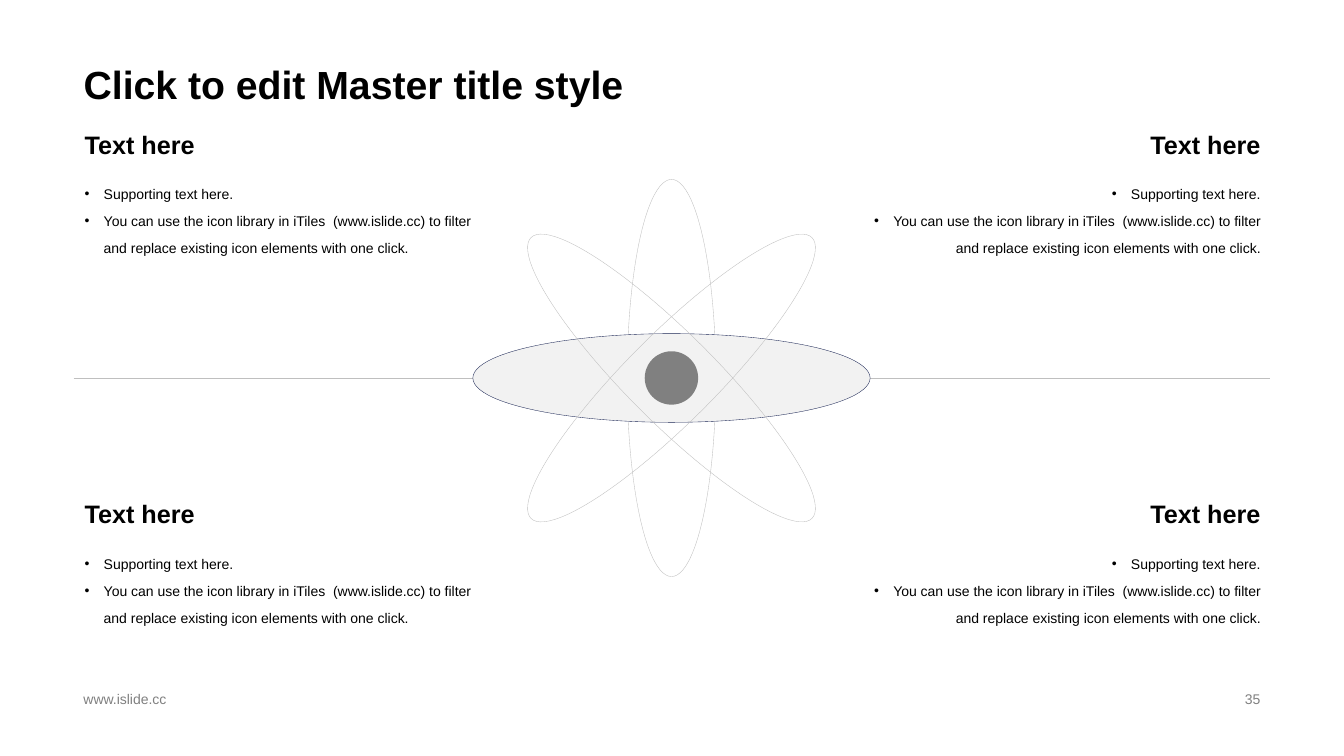
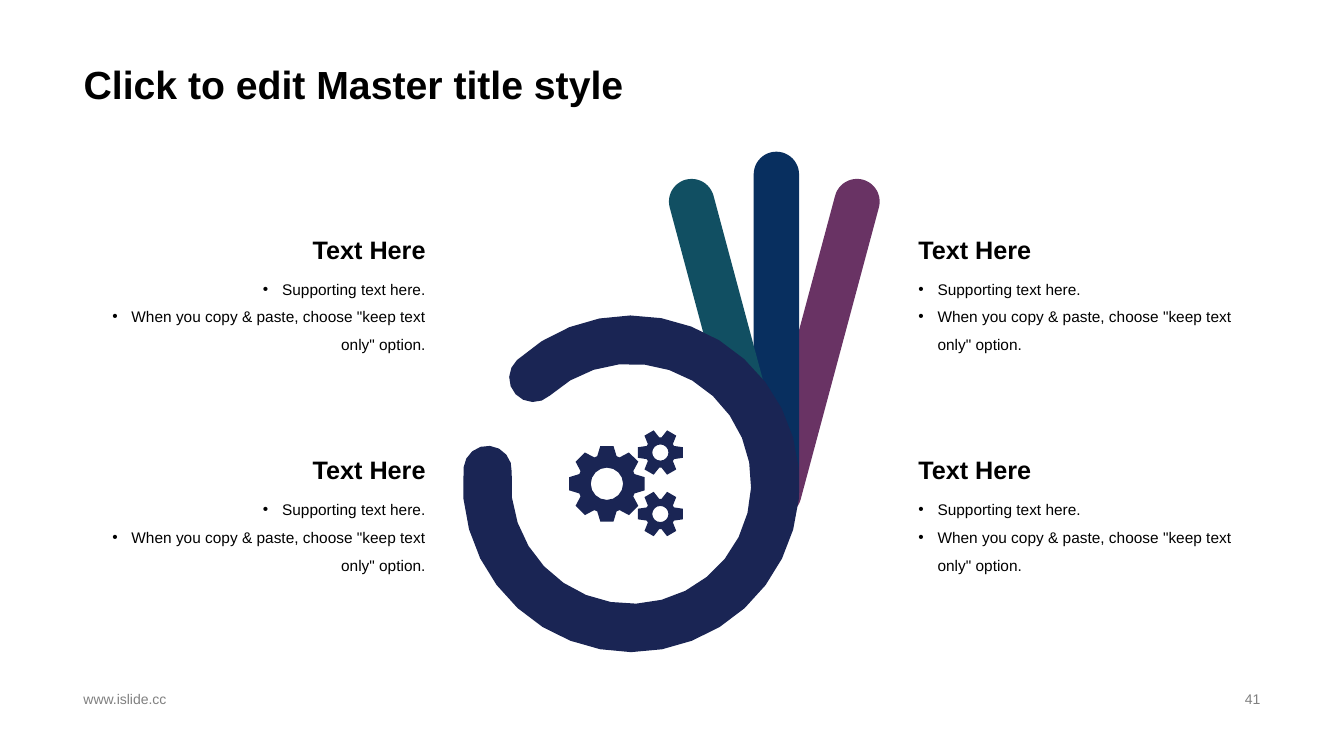
import math

import pptx
import pptx.dml.color
import pptx.enum.shapes
import pptx.enum.text
import pptx.oxml.ns
import pptx.util
from lxml import etree

Inches = pptx.util.Inches
Pt = pptx.util.Pt
Shape = pptx.enum.shapes.MSO_SHAPE
Align = pptx.enum.text.PP_ALIGN
Anchor = pptx.enum.text.MSO_ANCHOR
qn = pptx.oxml.ns.qn

COLORS = {
    "text": "000000",
    "footer": "808080",
    "orbit": "BFBFBF",
    "focus": "F2F2F2",
    "nucleus": "808080",
    "navy": "1A2554",
    "blue": "082F5F",
    "teal": "114F62",
    "plum": "693364",
}
FONT = "Arial"
TITLE = "Click to edit Master title style"
FOOTER = "www.islide.cc"


def rgb(name):
    return pptx.dml.color.RGBColor.from_string(COLORS[name])


def add_bullet(paragraph, indent=0.19):
    properties = paragraph._p.get_or_add_pPr()
    properties.set("marL", str(Inches(indent)))
    properties.set("indent", str(-Inches(indent)))
    etree.SubElement(properties, qn("a:buFont")).set("typeface", FONT)
    etree.SubElement(properties, qn("a:buChar")).set("char", "•")


def write_text(frame, text, *, size, color="text", bold=False, align=Align.LEFT,
               anchor=Anchor.TOP, spacing=1.0, bullets=False):
    frame.word_wrap = True
    frame.auto_size = pptx.enum.text.MSO_AUTO_SIZE.NONE
    frame.vertical_anchor = anchor
    for index, line in enumerate(text.split("\n")):
        paragraph = frame.add_paragraph() if index else frame.paragraphs[0]
        if bullets:
            add_bullet(paragraph)
        paragraph.alignment = align
        paragraph.line_spacing = spacing
        paragraph.space_before = paragraph.space_after = Pt(0)
        run = paragraph.add_run()
        run.text = line
        run.font.name = FONT
        run.font.size = Pt(size)
        run.font.bold = bold
        run.font.color.rgb = rgb(color)


def polar(x, y, radius, degrees):
    angle = math.radians(degrees)
    return x + radius * math.cos(angle), y + radius * math.sin(angle)


def arc(x, y, radius, start, end, steps):
    return [polar(x, y, radius, start + (end - start) * i / steps)
            for i in range(steps + 1)]


def gear(x, y, outer, root, hole, teeth):
    pitch = 360 / teeth
    rim = []
    for tooth in range(teeth):
        middle = tooth * pitch
        rim += arc(x, y, root, middle - 0.57 * pitch, middle - 0.43 * pitch, 1)
        rim += arc(x, y, outer, middle - 0.22 * pitch, middle + 0.22 * pitch, 1)
    return [rim, arc(x, y, hole, 360, 0, 16)[:-1]]


def open_ring(x, y, inner, outer, start, end):
    middle, cap = (inner + outer) / 2, (outer - inner) / 2
    first_tip = polar(x, y, middle, start)
    last_tip = polar(x, y, middle, end)
    return [arc(x, y, outer, start, end, 30)
            + arc(*last_tip, cap, end, end + 180, 8)[1:-1]
            + arc(x, y, inner, end, start, 26)
            + arc(*first_tip, cap, start + 180, start + 360, 8)[1:-1]]


class Deck:
    def __init__(self):
        self.presentation = pptx.Presentation()
        self.presentation.slide_width = Inches(13.33)
        self.presentation.slide_height = Inches(7.5)
        self.slide = None

    def start_slide(self, title, number):
        layout = self.presentation.slide_layouts[5]
        self.slide = self.presentation.slides.add_slide(layout)
        heading = self.slide.shapes.title
        heading.left, heading.top = Inches(0.73), Inches(0)
        heading.width, heading.height = Inches(11.87), Inches(1.12)
        write_text(heading.text_frame, title, size=28, bold=True,
                   anchor=Anchor.BOTTOM, spacing=0.9)
        footer = {"size": 10, "color": "footer", "anchor": Anchor.MIDDLE}
        self.text(FOOTER, 0.73, 6.82, 4.53, 0.23, **footer)
        self.text(str(number), 9.42, 6.82, 3.18, 0.23, align=Align.RIGHT, **footer)

    def text(self, text, left, top, width, height, **style):
        box = self.slide.shapes.add_textbox(
            Inches(left), Inches(top), Inches(width), Inches(height))
        write_text(box.text_frame, text, **style)

    def paint(self, shape, fill=None, line=None):
        shape.shadow.inherit = False
        if fill:
            shape.fill.solid()
            shape.fill.fore_color.rgb = rgb(fill)
        else:
            shape.fill.background()
        if line:
            shape.line.color.rgb = rgb(line)
            shape.line.width = Pt(0.25)
        else:
            shape.line.fill.background()

    def centered(self, kind, x, y, width, height, rotation=0, **paint):
        shape = self.slide.shapes.add_shape(
            kind, Inches(x - width / 2), Inches(y - height / 2),
            Inches(width), Inches(height))
        shape.rotation = rotation
        self.paint(shape, **paint)
        return shape

    def rule(self, left, right, y, color):
        line = self.slide.shapes.add_connector(
            pptx.enum.shapes.MSO_CONNECTOR.STRAIGHT,
            Inches(left), Inches(y), Inches(right), Inches(y))
        line.line.color.rgb = rgb(color)
        line.line.width = Pt(0.25)
        etree.SubElement(line._element.spPr, qn("a:effectLst"))

    def outline(self, contours, fill):
        contours = [[(Inches(x), Inches(y)) for x, y in points] for points in contours]
        builder = self.slide.shapes.build_freeform(*contours[0][0])
        for index, points in enumerate(contours):
            if index:
                builder.move_to(*points[0])
            builder.add_line_segments(points[1:], close=True)
        self.paint(builder.convert_to_shape(), fill=fill)

    def finger(self, tip_x, tip_y, length, tilt, fill):
        width = 0.45
        reach = (length - width) / 2
        angle = math.radians(tilt)
        capsule = self.centered(
            Shape.ROUNDED_RECTANGLE, tip_x - reach * math.sin(angle),
            tip_y + reach * math.cos(angle), width, length, tilt, fill=fill)
        capsule.adjustments[0] = 0.5

    def topic(self, heading, body, left, top, width, *, align, offset, height, size,
              spacing, heading_anchor=Anchor.TOP, body_anchor=Anchor.TOP):
        self.text(heading, left, top, width, offset, size=18, bold=True,
                  align=align, anchor=heading_anchor)
        self.text(body, left, top + offset, width, height, size=size, align=align,
                  anchor=body_anchor, spacing=spacing, bullets=True)


def atom_slide(deck):
    deck.start_slide(TITLE, 35)
    x, y = 6.66, 3.75
    deck.rule(0.73, 12.6, y, "orbit")
    for rotation, fill, line in ((0, None, "orbit"), (90, "focus", "navy"),
                                 (315, None, "orbit"), (45, None, "orbit")):
        deck.centered(Shape.OVAL, x, y, 0.88, 3.94, rotation, fill=fill, line=line)
    deck.centered(Shape.OVAL, x, y, 0.53, 0.53, fill="nucleus")
    body = ("Supporting text here.\n"
            "You can use the icon library in iTiles  (www.islide.cc) to filter "
            "and replace existing icon elements with one click.")
    for top, offset in ((1.23, 0.46), (4.89, 0.47)):
        for left, align in ((0.74, Align.LEFT), (8.55, Align.RIGHT)):
            deck.topic("Text here", body, left, top, 4.05, align=align,
                       offset=offset, height=1.37, size=10, spacing=1.6)


def hand_slide(deck):
    deck.start_slide(TITLE, 41)
    body = ("Supporting text here.\n"
            'When you copy & paste, choose "keep text only" option.')
    for top in (2.23, 4.42):
        for left, align in ((0.74, Align.RIGHT), (9.01, Align.LEFT)):
            deck.topic("Text Here", body, left, top, 3.58, align=align,
                       offset=0.44, height=0.85, size=11, spacing=1.5,
                       heading_anchor=Anchor.BOTTOM, body_anchor=Anchor.MIDDLE)
    deck.finger(8.5, 2, 3.45, 15, "plum")
    deck.finger(7.7, 1.73, 3.6, 0, "blue")
    deck.finger(6.86, 2, 2.45, -15, "teal")
    deck.outline(open_ring(6.26, 4.8, 1.19, 1.67, 227.3, 545.5), "navy")
    gears = gear(6.02, 4.8, 0.38, 0.29, 0.16, 8)
    for y in (4.49, 5.1):
        gears += gear(6.55, y, 0.23, 0.15, 0.08, 6)
    deck.outline(gears, "navy")


def main():
    deck = Deck()
    atom_slide(deck)
    hand_slide(deck)
    deck.presentation.save("out.pptx")


if __name__ == "__main__":
    main()
